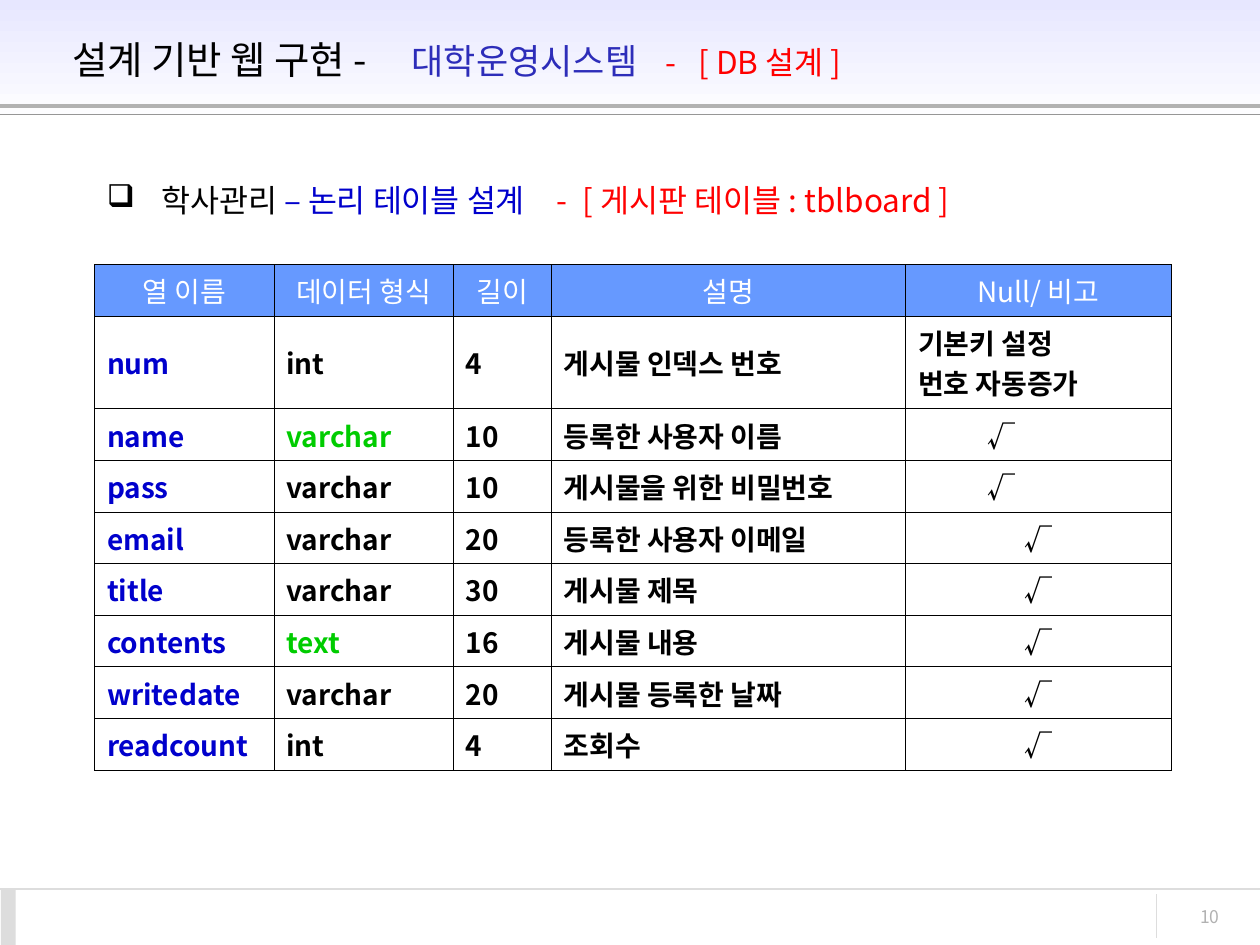
from pptx import Presentation
from pptx.dml.color import RGBColor
from pptx.enum.shapes import MSO_CONNECTOR, MSO_SHAPE
from pptx.enum.text import MSO_ANCHOR, PP_ALIGN
from pptx.oxml.ns import qn
from pptx.util import Pt
from lxml.etree import SubElement

FONT = "Noto Sans CJK KR"
HEADS = ["열 이름", "데이터 형식", "길이", "설명", "Null/ 비고"]
ROWS = [
    ["num", "int", "4", "게시물 인덱스 번호", "기본키 설정\n번호 자동증가"],
    ["name", "varchar", "10", "등록한 사용자 이름", "√"],
    ["pass", "varchar", "10", "게시물을 위한 비밀번호", "√"],
    ["email", "varchar", "20", "등록한 사용자 이메일", "√"],
    ["title", "varchar", "30", "게시물 제목", "√"],
    ["contents", "text", "16", "게시물 내용", "√"],
    ["writedate", "varchar", "20", "게시물 등록한 날짜", "√"],
    ["readcount", "int", "4", "조회수", "√"],
]
WIDTHS = [102.5, 102.5, 56, 202.5, 152]
GREEN = {(2, 1), (6, 1)}
INSET = {2, 3}


def tint(code):
    return RGBColor.from_string(code)


def style(run, size, color, bold=False):
    font = run.font
    font.size, font.bold, font.name = Pt(size), bold, FONT
    font.color.rgb = tint(color)
    SubElement(font._element, qn("a:ea")).set("typeface", FONT)


def write(para, parts):
    for text, size, color in parts:
        run = para.add_run()
        run.text = text
        style(run, size, color)


def set_tabs(para, stops):
    tabs = SubElement(para._p.get_or_add_pPr(), qn("a:tabLst"))
    for stop in stops:
        SubElement(tabs, qn("a:tab"), pos=str(Pt(stop)), algn="l")


def add_line(slide, x1, y1, x2, y2, color, width):
    line = slide.shapes.add_connector(
        MSO_CONNECTOR.STRAIGHT, Pt(x1), Pt(y1), Pt(x2), Pt(y2))
    line.line.color.rgb = tint(color)
    line.line.width = Pt(width)
    SubElement(line._element.spPr, qn("a:effectLst"))


def add_rect(slide, x, y, w, h):
    rect = slide.shapes.add_shape(
        MSO_SHAPE.RECTANGLE, Pt(x), Pt(y), Pt(w), Pt(h))
    rect.shadow.inherit = False
    rect.line.fill.background()
    return rect


def add_text(slide, x, y, w, h):
    box = slide.shapes.add_textbox(Pt(x), Pt(y), Pt(w), Pt(h))
    box.text_frame.word_wrap = True
    return box.text_frame.paragraphs[0]


def add_head(slide, x, y, w, h):
    band = add_rect(slide, x, y, w, h)
    band.fill.gradient()
    band.fill.gradient_angle = 270
    for stop, color, place in zip(
            band.fill.gradient_stops, ["E7E7FF", "FFFFFF"], [0, 1]):
        stop.color.rgb = tint(color)
        stop.position = place
    add_line(slide, x, y + 60.5, x + w, y + 60.5, "B2B2B2", 2.24)
    add_line(slide, x, y + 65.5, x + w, y + 65.5, "969696", 0.74)
    title = slide.shapes.title
    title.left, title.top = Pt(x + 34), Pt(y + 9.5)
    title.width, title.height = Pt(621.5), Pt(49)
    slide.shapes._spTree.append(title._element)
    title.text_frame.vertical_anchor = MSO_ANCHOR.MIDDLE
    para = title.text_frame.paragraphs[0]
    para.alignment = PP_ALIGN.LEFT
    set_tabs(para, [194, 339, 358])
    write(para, [("설계 기반 웹 구현 -\t", 22, "000000"),
                 ("대학운영시스템\t", 20, "2D2DB9"),
                 ("-\t[ DB 설계 ]", 18, "FF0000")])


def add_foot(slide, x, y, w, h):
    add_line(slide, x, y, x + w, y, "DDDDDD", 0.74)
    bar = add_rect(slide, x + 0.5, y, 8.5, h)
    bar.fill.solid()
    bar.fill.fore_color.rgb = tint("DDDDDD")
    add_line(slide, x + 661, y + 3, x + 661, y + h - 4, "DDDDDD", 0.74)
    para = add_text(slide, x + 638, y + 6, 66, 24)
    para.alignment = PP_ALIGN.RIGHT
    write(para, [("10", 10, "B2B2B2")])


def add_topic(slide, x, y, w, h):
    para = add_text(slide, x, y, w, h)
    para.space_before = Pt(4.5)
    props = para._p.get_or_add_pPr()
    props.set("marL", str(Pt(31)))
    props.set("indent", str(Pt(-31)))
    color = SubElement(props, qn("a:buClr"))
    SubElement(color, qn("a:srgbClr"), val="000000")
    SubElement(props, qn("a:buChar"), char="❑")
    set_tabs(para, [257, 272])
    write(para, [("학사관리 ", 18, "000000"),
                 ("– 논리 테이블 설계\t", 18, "0000CC"),
                 ("-\t[ 게시판 테이블 : tblboard ]", 18, "FF0000")])


def set_edge(cell):
    props = cell._tc.get_or_add_tcPr()
    for index, side in enumerate(["lnL", "lnR", "lnT", "lnB"]):
        edge = props.makeelement(qn("a:" + side), {"w": str(Pt(0.06))})
        fill = SubElement(edge, qn("a:solidFill"))
        SubElement(fill, qn("a:srgbClr"), val="000000")
        props.insert(index, edge)


def fill_cell(cell, text, row, col):
    head = row == 0
    cell.fill.solid()
    cell.fill.fore_color.rgb = tint("6699FF" if head else "FFFFFF")
    cell.vertical_anchor = MSO_ANCHOR.MIDDLE
    set_edge(cell)
    if head:
        color = "FFFFFF"
    elif (row, col) in GREEN:
        color = "00CC00"
    else:
        color = "000000" if col else "0000CC"
    mid = head or (text == "√" and row not in INSET)
    cell.text_frame.text = text
    for para in cell.text_frame.paragraphs:
        para.alignment = PP_ALIGN.CENTER if mid else PP_ALIGN.JUSTIFY
        if text == "√" and not mid:
            para._p.get_or_add_pPr().set("marL", str(Pt(39.5)))
        for run in para.runs:
            style(run, 16, color, not head)


def add_grid(slide, x, y, w, h):
    data = [HEADS] + ROWS
    table = slide.shapes.add_table(
        len(data), len(HEADS), Pt(x), Pt(y), Pt(w), Pt(h)).table
    for col, width in zip(table.columns, WIDTHS):
        col.width = Pt(width)
    for r, texts in enumerate(data):
        table.rows[r].height = Pt(53 if r == 1 else 29.5)
        for c, text in enumerate(texts):
            fill_cell(table.cell(r, c), text, r, c)


deck = Presentation()
deck.slide_width, deck.slide_height = Pt(720), Pt(540)
slide = deck.slides.add_slide(deck.slide_layouts[5])
add_head(slide, 0, 0, 720, 72)
add_foot(slide, 0, 508, 720, 32)
add_topic(slide, 54, 100, 618, 372)
add_grid(slide, 54, 151, 615.5, 289)
deck.save("out.pptx")
